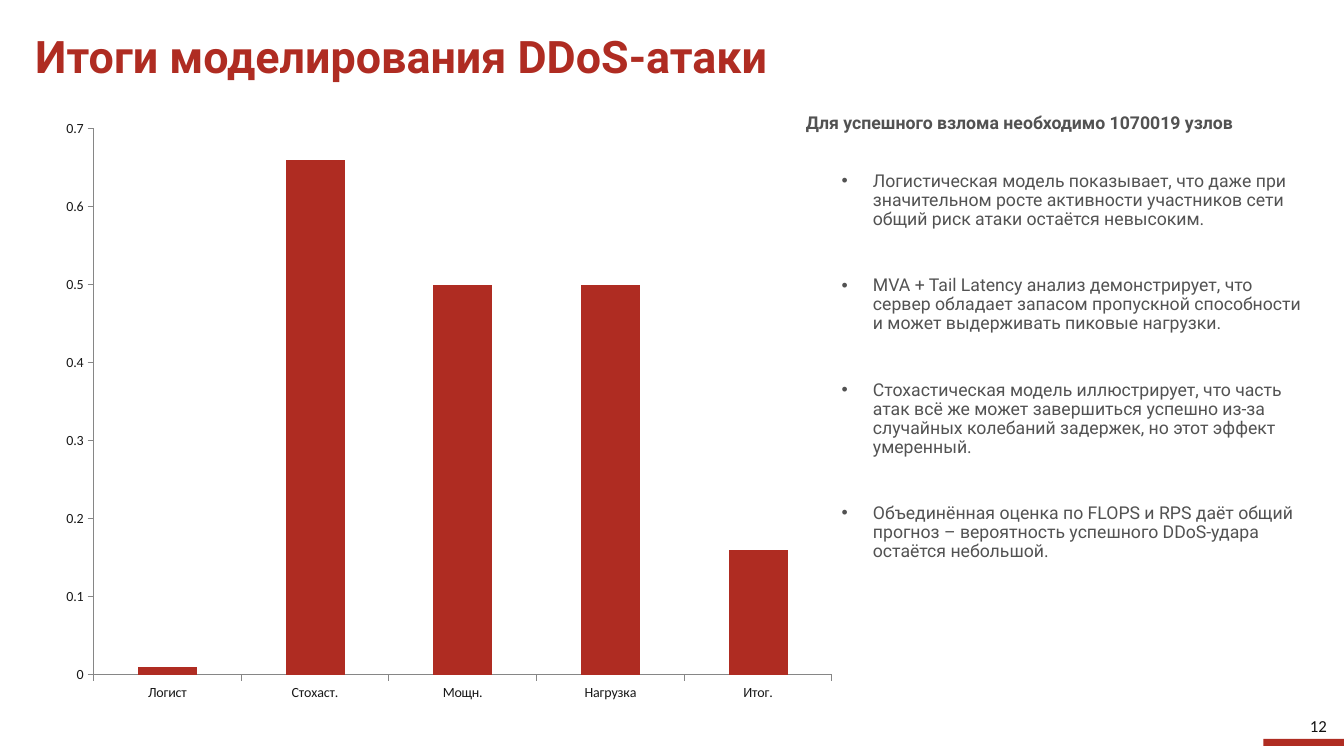
from lxml import etree
from pptx import Presentation
from pptx.chart.data import CategoryChartData
from pptx.dml.color import RGBColor
from pptx.enum.chart import XL_CHART_TYPE, XL_TICK_MARK
from pptx.enum.shapes import MSO_SHAPE
from pptx.enum.text import MSO_ANCHOR, PP_ALIGN
from pptx.oxml.ns import qn
from pptx.util import Inches, Pt

COLUMNS = XL_CHART_TYPE.COLUMN_CLUSTERED
TICK_OUT = XL_TICK_MARK.OUTSIDE
RECT = MSO_SHAPE.RECTANGLE
TOP, MIDDLE = MSO_ANCHOR.TOP, MSO_ANCHOR.MIDDLE
LEFT, CENTER, RIGHT = PP_ALIGN.LEFT, PP_ALIGN.CENTER, PP_ALIGN.RIGHT

RED, GREY, BLACK, AXIS = "AF2C22", "525252", "181818", "868686"
FINDINGS = [
    "Логистическая модель показывает, что даже при значительном росте активности "
    "участников сети общий риск атаки остаётся невысоким.",
    "MVA + Tail Latency анализ демонстрирует, что сервер обладает запасом "
    "пропускной способности и может выдерживать пиковые нагрузки.",
    "Стохастическая модель иллюстрирует, что часть атак всё же может завершиться "
    "успешно из‑за случайных колебаний задержек, но этот эффект умеренный.",
    "Объединённая оценка по FLOPS и RPS даёт общий прогноз – вероятность "
    "успешного DDoS‑ударa остаётся небольшой.",
]
RISKS = {"Логист": 0.01, "Стохаст.": 0.66, "Мощн.": 0.5, "Нагрузка": 0.5, "Итог.": 0.16}


def rgb(value):
    return RGBColor.from_string(value)


def apply(target, values):
    for name, value in values.items():
        setattr(target, name, value)


class SlideBuilder:
    body_font = "Roboto"
    number_font = "Calibri"

    def __init__(self, slide):
        self.s = slide

    def font(self, font, size, color, name, bold=False):
        apply(font, {"size": Pt(size), "name": name, "bold": bold})
        font.color.rgb = rgb(color)

    def bar(self, box, color):
        sp = self.s.shapes.add_shape(RECT, *map(Inches, box))
        sp.shadow.inherit = False
        sp.fill.solid()
        sp.fill.fore_color.rgb = rgb(color)
        sp.line.fill.background()

    def text(self, box, lines, size, color, name=body_font, bold=False, align=LEFT,
             anchor=TOP, spacing=0.9, before=0, between=0, bullet=False):
        tf = self.s.shapes.add_textbox(*map(Inches, box)).text_frame
        apply(tf, {"word_wrap": True, "vertical_anchor": anchor})
        for i, line in enumerate(lines):
            p = tf.add_paragraph() if i else tf.paragraphs[0]
            apply(p, {"alignment": align, "line_spacing": spacing,
                      "space_before": Pt(between if i else before)})
            r = p.add_run()
            r.text = line
            self.font(r.font, size, color, name, bold)
            if bullet:
                self.bullet(p)

    def bullet(self, p):
        pPr = p._p.get_or_add_pPr()
        indent = Inches(0.31)
        pPr.set("marL", str(indent))
        pPr.set("indent", str(-indent))
        etree.SubElement(pPr, qn("a:buFont")).set("typeface", "Arial")
        etree.SubElement(pPr, qn("a:buChar")).set("char", "•")

    def column_chart(self, box, values, color):
        data = CategoryChartData()
        data.categories = list(values)
        data.add_series("Series 1", list(values.values()))
        chart = self.s.shapes.add_chart(COLUMNS, *map(Inches, box), data).chart
        apply(chart, {"has_legend": False, "has_title": False})
        self.font(chart.font, 10, BLACK, self.number_font)
        plot = chart.plots[0]
        apply(plot, {"gap_width": 150, "vary_by_categories": False})
        fill = plot.series[0].format.fill
        fill.solid()
        fill.fore_color.rgb = rgb(color)
        for axis in (chart.category_axis, chart.value_axis):
            apply(axis, {"has_major_gridlines": False, "major_tick_mark": TICK_OUT})
            self.font(axis.tick_labels.font, 10, BLACK, self.number_font)
            axis.format.line.color.rgb = rgb(AXIS)
            axis.format.line.width = Pt(0.75)
        apply(chart.value_axis, {"minimum_scale": 0, "maximum_scale": 0.7, "major_unit": 0.1})


def main():
    prs = Presentation()
    apply(prs, {"slide_width": Inches(13.33), "slide_height": Inches(7.5)})
    b = SlideBuilder(prs.slides.add_slide(prs.slide_layouts[6]))
    b.bar((12.53, 7.33, 0.8, 0.07), RED)
    b.text((0.25, 0.28, 11.22, 0.61), ["Итоги моделирования DDoS-атаки"], 32, RED,
           bold=True, anchor=MIDDLE)
    b.text((7.69, 1.08, 4.84, 0.4), ["Для успешного взлома необходимо 1070019 узлов"],
           12.6, GREY, bold=True, align=CENTER, before=10)
    b.text((8.25, 1.66, 4.84, 4.18), FINDINGS, 12.6, GREY, before=10, between=33.6,
           bullet=True)
    b.text((12.53, 7.07, 0.73, 0.26), ["12"], 12, "121212", name=b.number_font,
           align=RIGHT, anchor=MIDDLE, spacing=1.0)
    b.column_chart((0.5, 1.08, 7.91, 5.99), RISKS, RED)
    prs.save("out.pptx")


if __name__ == "__main__":
    main()
